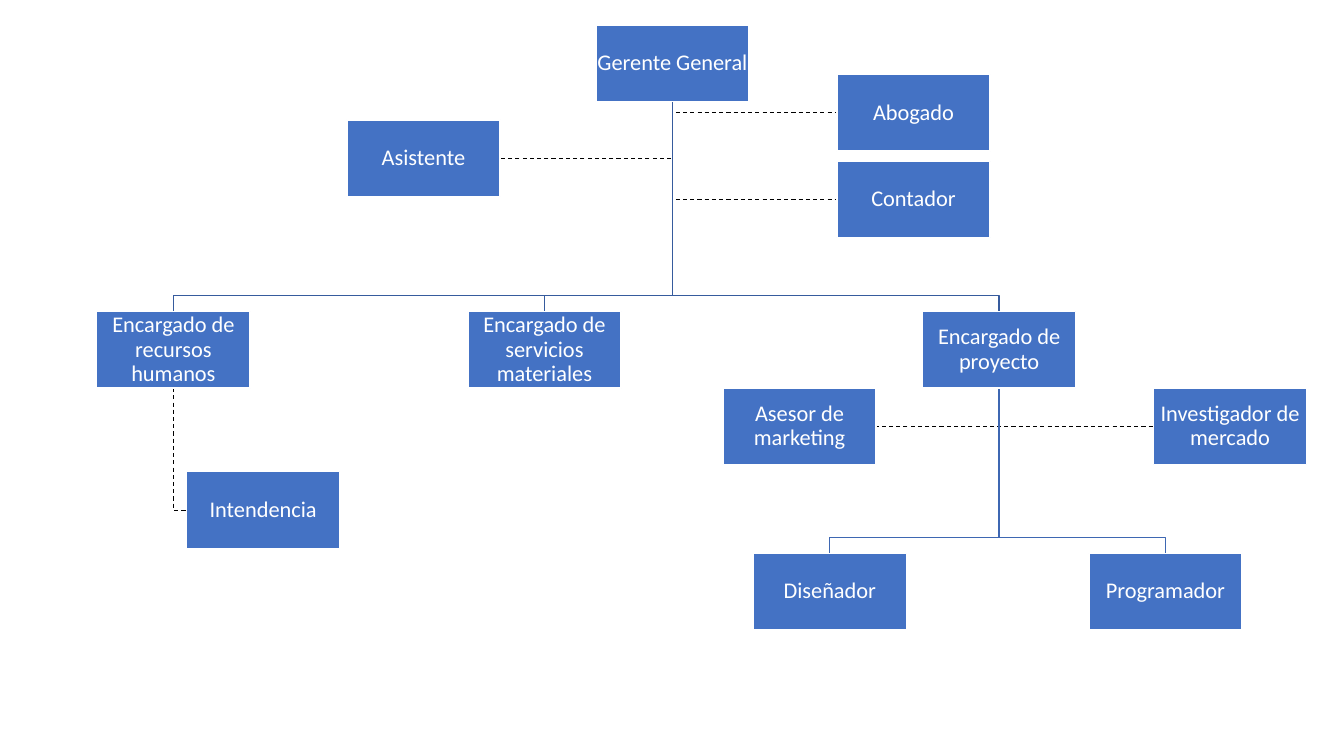
import pptx
import pptx.util
import pptx.dml.color
import pptx.enum.dml
import pptx.enum.shapes
import pptx.enum.text

Inches = pptx.util.Inches
Pt = pptx.util.Pt


def color(hex_string):
    return pptx.dml.color.RGBColor.from_string(hex_string)


def draw_link(s, points, line_color, width, dashed):
    points = [(Inches(x), Inches(y)) for x, y in points]
    builder = s.shapes.build_freeform(*points[0])
    builder.add_line_segments(points[1:], close=False)
    sp = builder.convert_to_shape()
    sp.shadow.inherit = False
    sp.fill.background()
    sp.line.color.rgb = color(line_color)
    sp.line.width = Pt(width)
    if dashed:
        sp.line.dash_style = pptx.enum.dml.MSO_LINE.DASH


prs = pptx.Presentation()
prs.slide_width = Inches(13.33)
prs.slide_height = Inches(7.5)
s = prs.slides.add_slide(prs.slide_layouts[6])

BOX_W, BOX_H, DROP = 1.52, 0.76, 0.16

boxes = {
    "Gerente General": (5.91, 0.25),
    "Encargado de servicios materiales": (4.64, 3.09),
    "Encargado de proyecto": (9.15, 3.09),
    "Programador": (10.8, 5.49),
    "Diseñador": (7.47, 5.49),
    "Asesor de marketing": (7.17, 3.85),
    "Investigador de mercado": (11.44, 3.85),
    "Encargado de recursos humanos": (0.96, 3.09),
    "Intendencia": (1.85, 4.68),
    "Asistente": (3.44, 1.19),
    "Abogado": (8.3, 0.74),
    "Contador": (8.3, 1.6),
}

staff = [
    ("Gerente General", ["Contador", "Abogado", "Asistente"]),
    ("Encargado de recursos humanos", ["Intendencia"]),
    ("Encargado de proyecto", ["Investigador de mercado", "Asesor de marketing"]),
]
for parent, members in staff:
    px = boxes[parent][0] + BOX_W / 2
    py = boxes[parent][1] + BOX_H
    for member in members:
        left, top = boxes[member]
        side = left if left > px else left + BOX_W
        mid = top + BOX_H / 2
        draw_link(s, [(px, py), (px, mid), (side, mid)], "000000", 0.75, True)

reports = [
    ("Gerente General", "365B9D", ["Encargado de recursos humanos",
                                   "Encargado de proyecto",
                                   "Encargado de servicios materiales"]),
    ("Encargado de proyecto", "3E67B2", ["Diseñador", "Programador"]),
]
for parent, line_color, members in reports:
    px = boxes[parent][0] + BOX_W / 2
    py = boxes[parent][1] + BOX_H
    for member in members:
        left, top = boxes[member]
        cx = left + BOX_W / 2
        bus = top - DROP
        draw_link(s, [(px, py), (px, bus), (cx, bus), (cx, top)], line_color, 1, False)

for label, (left, top) in boxes.items():
    sp = s.shapes.add_shape(pptx.enum.shapes.MSO_SHAPE.RECTANGLE,
                            Inches(left), Inches(top), Inches(BOX_W), Inches(BOX_H))
    sp.shadow.inherit = False
    sp.fill.solid()
    sp.fill.fore_color.rgb = color("4472C4")
    sp.line.color.rgb = color("FFFFFF")
    sp.line.width = Pt(1)
    tf = sp.text_frame
    tf.word_wrap = True
    tf.vertical_anchor = pptx.enum.text.MSO_ANCHOR.MIDDLE
    tf.margin_left = tf.margin_right = tf.margin_top = tf.margin_bottom = Inches(0.01)
    tf.text = label
    p = tf.paragraphs[0]
    p.alignment = pptx.enum.text.PP_ALIGN.CENTER
    p.line_spacing = 0.9
    r = p.runs[0]
    r.font.name = "Calibri"
    r.font.size = Pt(16)
    r.font.color.rgb = color("FFFFFF")

prs.save("out.pptx")
